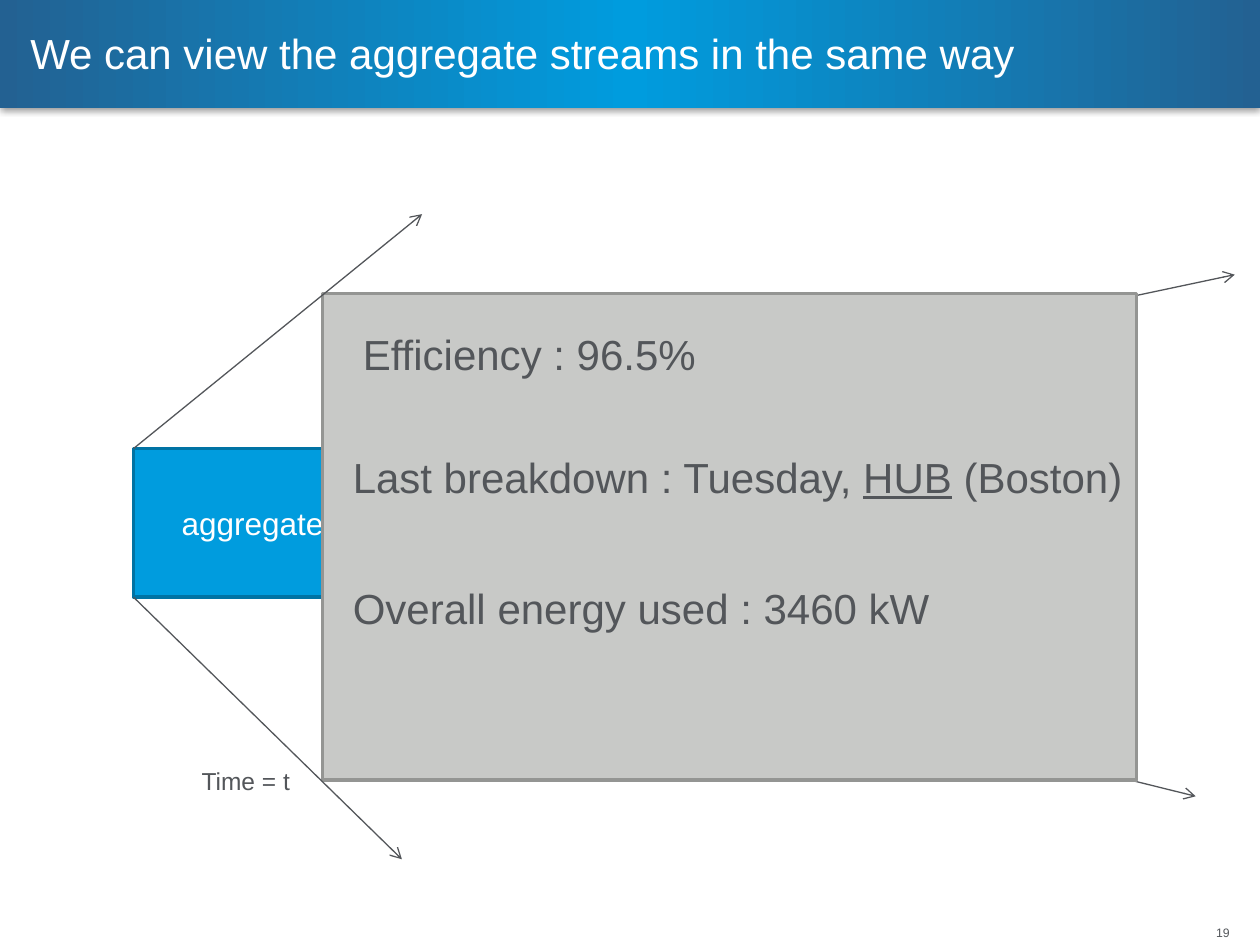
from copy import deepcopy
from dataclasses import dataclass

from lxml import etree
from pptx import Presentation
from pptx.dml.color import RGBColor
from pptx.enum.shapes import MSO_CONNECTOR, MSO_SHAPE
from pptx.enum.text import MSO_ANCHOR, MSO_AUTO_SIZE, PP_ALIGN
from pptx.oxml.ns import qn
from pptx.util import Emu, Pt

RECT = MSO_SHAPE.RECTANGLE
STRAIGHT = MSO_CONNECTOR.STRAIGHT
TOP, MIDDLE = MSO_ANCHOR.TOP, MSO_ANCHOR.MIDDLE
LEFT, CENTER, RIGHT = PP_ALIGN.LEFT, PP_ALIGN.CENTER, PP_ALIGN.RIGHT
NO_FIT = MSO_AUTO_SIZE.NONE

EMU_PER_PX = 9144
FONT = "Arial"
COLORS = {
    "navy": "236192",
    "blue": "009CDE",
    "blue_edge": "0073A4",
    "panel": "C8C9C7",
    "panel_edge": "949593",
    "text": "53565A",
    "white": "FFFFFF",
    "shadow": "000000",
}


@dataclass
class Box:
    x: int
    y: int
    w: int
    h: int


@dataclass
class Arrow:
    x1: int
    y1: int
    x2: int
    y2: int


@dataclass
class Label:
    box: Box
    runs: list[str]
    size: int = 24
    align: PP_ALIGN = LEFT
    wrap: bool = False
    underlined: str = ""


AGGREGATE = Box(106, 356, 189, 118)
PANEL = Box(256, 233, 646, 386)
BACK_ARROWS = [Arrow(311, 474, 949, 632), Arrow(319, 358, 980, 218)]
FRONT_ARROWS = [Arrow(106, 356, 335, 170), Arrow(106, 474, 319, 682)]
LABELS = [
    Label(Box(288, 261, 267, 40), ["Efficiency : 96.5%"]),
    Label(Box(280, 358, 604, 40),
          ["Last breakdown : Tuesday, ", "HUB", " (Boston)"], underlined="HUB"),
    Label(Box(280, 462, 462, 40), ["Overall energy used : 3460 kW"]),
    Label(Box(160, 608, 70, 24), ["Time = t"], size=14),
    Label(Box(927, 734, 49, 12), ["19"], size=7, align=RIGHT, wrap=True),
]


def px(n: int) -> Emu:
    return Emu(n * EMU_PER_PX)


def rgb(name: str) -> RGBColor:
    return RGBColor.from_string(COLORS[name])


def place(box: Box) -> tuple[Emu, Emu, Emu, Emu]:
    return px(box.x), px(box.y), px(box.w), px(box.h)


def write(sp, runs: list[str], *, size: int = 24, color: str = "text",
          align: PP_ALIGN = LEFT, anchor: MSO_ANCHOR = TOP,
          wrap: bool = True, underlined: str = "") -> None:
    tf = sp.text_frame
    tf.auto_size = NO_FIT
    tf.word_wrap = wrap
    tf.vertical_anchor = anchor
    tf.margin_left = tf.margin_right = tf.margin_top = tf.margin_bottom = 0
    p = tf.paragraphs[0]
    p.alignment = align
    for text in runs:
        r = p.add_run()
        r.text = text
        r.font.name = FONT
        r.font.size = Pt(size)
        r.font.color.rgb = rgb(color)
        if text == underlined:
            r.font.underline = True


def add_banner(s, box: Box) -> None:
    sp = s.shapes.add_shape(RECT, *place(box))
    sp.line.fill.background()
    sp.fill.gradient()
    sp.fill.gradient_angle = 0
    stops = sp._element.spPr.find(".//" + qn("a:gsLst"))
    stops.append(deepcopy(stops[0]))
    for i, (stop, color) in enumerate(zip(sp.fill.gradient_stops, ("navy", "blue", "navy"))):
        stop.position = i / 2
        stop.color.rgb = rgb(color)
    sp.shadow.inherit = False
    effects = sp._element.spPr.find(qn("a:effectLst"))
    shadow = etree.SubElement(effects, qn("a:outerShdw"), blurRad=str(Pt(4)),
                              dist=str(Pt(1)), dir="5400000", rotWithShape="0")
    shade = etree.SubElement(shadow, qn("a:srgbClr"), val=COLORS["shadow"])
    etree.SubElement(shade, qn("a:alpha"), val="40000")
    s.shapes._spTree.insert(2, sp._element)


def add_rect(s, box: Box, fill: str, edge: str):
    sp = s.shapes.add_shape(RECT, *place(box))
    sp.shadow.inherit = False
    sp.fill.solid()
    sp.fill.fore_color.rgb = rgb(fill)
    sp.line.color.rgb = rgb(edge)
    sp.line.width = Pt(2)
    return sp


def add_arrow(s, a: Arrow) -> None:
    c = s.shapes.add_connector(STRAIGHT, px(a.x1), px(a.y1), px(a.x2), px(a.y2))
    c.line.color.rgb = rgb("text")
    c.line.width = Pt(0.75)
    etree.SubElement(c.line._get_or_add_ln(), qn("a:tailEnd"), type="arrow")
    etree.SubElement(c._element.spPr, qn("a:effectLst"))


def add_label(s, label: Label) -> None:
    sp = s.shapes.add_textbox(*place(label.box))
    write(sp, label.runs, size=label.size, align=label.align,
          wrap=label.wrap, underlined=label.underlined)


def main() -> None:
    prs = Presentation()
    prs.slide_width, prs.slide_height = px(1000), px(750)
    s = prs.slides.add_slide(prs.slide_layouts[5])

    add_banner(s, Box(0, 0, 1000, 86))
    title = s.shapes.title
    title.left, title.top, title.width, title.height = place(Box(24, 17, 832, 50))
    write(title, ["We can view the aggregate streams in the same way"],
          color="white", anchor=MIDDLE)

    for arrow in BACK_ARROWS:
        add_arrow(s, arrow)
    aggregate = add_rect(s, AGGREGATE, "blue", "blue_edge")
    write(aggregate, ["aggregate"], size=18, color="white", align=CENTER, anchor=MIDDLE)
    add_rect(s, PANEL, "panel", "panel_edge")
    for arrow in FRONT_ARROWS:
        add_arrow(s, arrow)
    for label in LABELS:
        add_label(s, label)

    prs.save("out.pptx")


if __name__ == "__main__":
    main()
